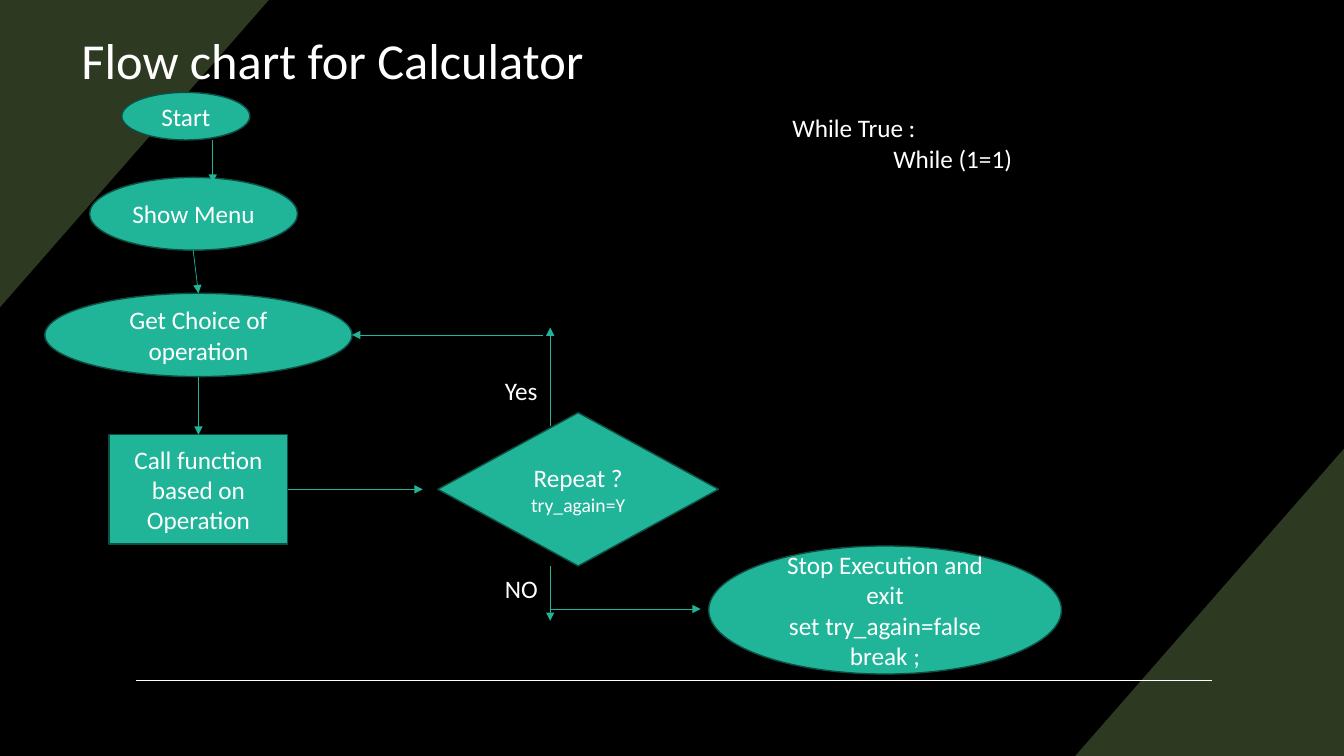
from dataclasses import dataclass

from lxml import etree
from pptx import Presentation
from pptx import util as u
from pptx.dml.color import RGBColor
from pptx.enum import shapes, text
from pptx.oxml import ns

Pt = u.Pt


@dataclass(frozen=True)
class Theme:
    background: str = "000000"
    corner: str = "2D3920"
    node: str = "20B599"
    outline: str = "0E4F43"
    ink: str = "FFFFFF"
    font: str = "Calibri"
    title: int = 36
    body: int = 18
    small: int = 14


THEME = Theme()
WIDTH, HEIGHT = 960, 540


def paint(fill, color):
    fill.solid()
    fill.fore_color.rgb = RGBColor.from_string(color)


def write(frame, lines, align=None):
    """Fill a text frame with (words, size, indent) lines."""
    frame.word_wrap = True
    for number, (words, size, indent) in enumerate(lines):
        paragraph = frame.paragraphs[0] if number == 0 else frame.add_paragraph()
        paragraph.alignment = align
        if indent:
            properties = paragraph._p.get_or_add_pPr()
            properties.set("marL", str(Pt(indent)))
            properties.set("indent", "0")
        run = paragraph.add_run()
        run.text = words
        run.font.name = THEME.font
        run.font.size = Pt(size)
        run.font.color.rgb = RGBColor.from_string(THEME.ink)


def body(*words):
    return [(line, THEME.body, 0) for line in words]


def add_corner(slide, corner_x, corner_y, direction):
    """Triangle in a slide corner; direction 1 opens right/down, -1 left/up."""
    builder = slide.shapes.build_freeform(Pt(corner_x), Pt(corner_y))
    builder.add_line_segments([
        (Pt(corner_x + direction * 192), Pt(corner_y)),
        (Pt(corner_x), Pt(corner_y + direction * 219.5)),
    ])
    corner = builder.convert_to_shape()
    corner.shadow.inherit = False
    paint(corner.fill, THEME.corner)
    corner.line.fill.background()


def add_title(slide, box, words):
    title = slide.shapes.title
    # Bring the placeholder in front of the backdrop
    slide.shapes._spTree.append(title._element)
    title.left, title.top, title.width, title.height = map(Pt, box)
    title.text_frame.vertical_anchor = text.MSO_ANCHOR.MIDDLE
    write(title.text_frame, [(words, THEME.title, 0)], text.PP_ALIGN.LEFT)
    title.text_frame.auto_size = text.MSO_AUTO_SIZE.NONE


def add_node(slide, kind, box, lines):
    node = slide.shapes.add_shape(kind, *map(Pt, box))
    node.shadow.inherit = False
    paint(node.fill, THEME.node)
    paint(node.line.fill, THEME.outline)
    node.line.width = Pt(1)
    node.text_frame.vertical_anchor = text.MSO_ANCHOR.MIDDLE
    write(node.text_frame, lines, text.PP_ALIGN.CENTER)
    return node


def add_label(slide, box, lines):
    label = slide.shapes.add_textbox(*map(Pt, box))
    write(label.text_frame, lines)
    label.text_frame.auto_size = text.MSO_AUTO_SIZE.SHAPE_TO_FIT_TEXT


def add_line(slide, start, end, color, width):
    line = slide.shapes.add_connector(
        shapes.MSO_CONNECTOR.STRAIGHT, *map(Pt, (*start, *end)))
    paint(line.line.fill, color)
    line.line.width = Pt(width)
    etree.SubElement(line._element.spPr, ns.qn("a:effectLst"))
    return line


def add_arrow(slide, start, end):
    arrow = add_line(slide, start, end, THEME.node, 0.5)
    etree.SubElement(arrow.line._get_or_add_ln(), ns.qn("a:tailEnd"), type="triangle")
    return arrow


def main():
    deck = Presentation()
    deck.slide_width, deck.slide_height = Pt(WIDTH), Pt(HEIGHT)
    slide = deck.slides.add_slide(deck.slide_layouts[5])

    # Backdrop
    paint(slide.background.fill, THEME.background)
    add_corner(slide, WIDTH, HEIGHT, -1)
    add_corner(slide, 0, 0, 1)
    add_line(slide, (97, 486), (865.5, 486), THEME.ink, 1)

    # Title
    add_title(slide, (51, 25.5, 422, 34), "Flow chart for Calculator")

    # Steps
    kinds = shapes.MSO_SHAPE
    add_node(slide, kinds.OVAL, (87, 66, 91.5, 34), body("Start"))
    add_node(slide, kinds.OVAL, (64, 126.75, 148.5, 52), body("Show Menu"))
    add_node(slide, kinds.OVAL, (32, 209.5, 219.5, 59.5),
             body("Get Choice of operation"))
    call_function = add_node(slide, kinds.RECTANGLE, (78, 310.5, 127.5, 78),
                             body("Call function based on Operation"))
    add_node(slide, kinds.FLOWCHART_DECISION, (312.75, 294.75, 200.5, 109.5),
             [("Repeat ?", THEME.body, 0), ("try_again=Y", THEME.small, 0)])
    add_node(slide, kinds.OVAL, (506.25, 390, 252, 91.5),
             body("Stop Execution and exit", "set try_again=false", "break ;"))

    # Flow down to the function call, then on to the decision
    add_arrow(slide, (152, 100), (152, 130.5))
    add_arrow(slide, (138, 178.75), (141.75, 209.5))
    add_arrow(slide, (141.75, 269), (141.75, 310.5)).end_connect(call_function, 0)
    add_arrow(slide, (205.5, 349.5), (302, 349.5)).begin_connect(call_function, 3)

    # Yes and no branches
    branch_x = 393
    add_arrow(slide, (branch_x, 304), (branch_x, 234))
    add_arrow(slide, (388, 239.25), (251.5, 239.25))
    add_arrow(slide, (branch_x, 404.5), (branch_x, 443.5))
    add_arrow(slide, (branch_x, 435), (500.5, 435))
    add_label(slide, (353.5, 264.5, 60.5, 29), body("Yes"))
    add_label(slide, (353.5, 406, 79, 29), body("NO"))

    # Loop note
    add_label(slide, (559, 77, 199.5, 51),
              [("While True :", THEME.body, 0), ("While (1=1)", THEME.body, 72)])

    deck.save("out.pptx")


if __name__ == "__main__":
    main()
